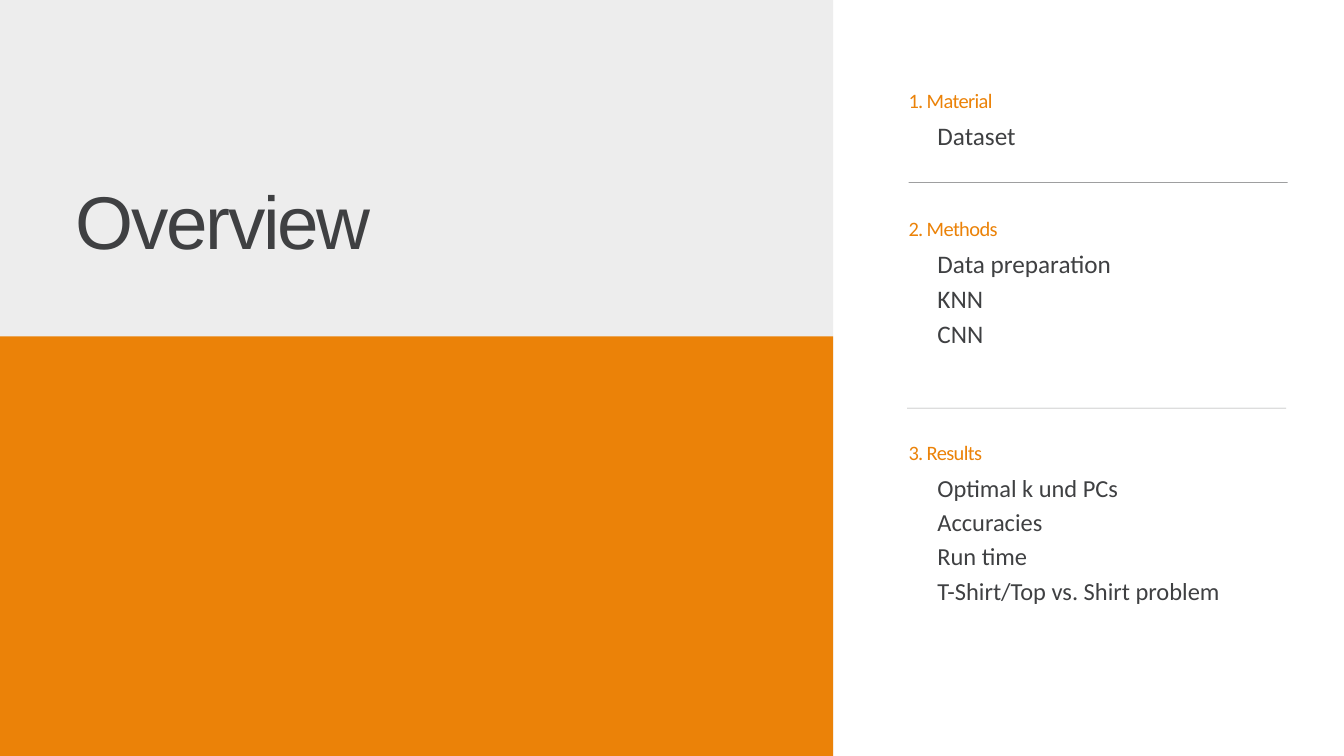
from dataclasses import dataclass

from lxml.etree import SubElement
from pptx import Presentation
from pptx.dml.color import RGBColor
from pptx.enum.shapes import MSO_SHAPE
from pptx.oxml.ns import qn
from pptx.util import Inches, Pt

W, H = 20, 11.25
COLORS = {"panel": "EDEDED", "accent": "EB8208", "ink": "3F4042"}

# Shares of the slide's size
PANEL_W = 0.62
ACCENT_TOP = 0.445
LIST_X, LIST_W = 0.676, 0.282
INDENT = 0.0215
HEADING_H = 0.0385


@dataclass
class Style:
    font: str
    size: float
    leading: float
    color: str
    spacing: float = 0


@dataclass
class Section:
    top: float
    heading: str
    items: list[str]
    style: Style


TITLE = Style("Arial", 80, 104, "ink", -2.4)
HEADING = Style("Calibri", 21.9, 28.5, "accent", -0.7)
ITEM = Style("Calibri", 27, 37.8, "ink")
SMALL_ITEM = Style("Calibri", 26.2, 36.8, "ink")

SECTIONS = [
    Section(0.114, "1. Material", ["Dataset"], ITEM),
    Section(0.283, "2. Methods", ["Data preparation", "KNN", "CNN"], ITEM),
    Section(0.58, "3. Results", ["Optimal k und PCs", "Accuracies", "Run time",
                                 "T-Shirt/Top vs. Shirt problem"], SMALL_ITEM),
]
RULES = [(LIST_X, 0.241), (0.675, 0.5395)]


def place(x: float, y: float, w: float, h: float) -> list[int]:
    """Turn shares of the slide into lengths."""
    return [Inches(x * W), Inches(y * H), Inches(w * W), Inches(h * H)]


def add_block(s, x: float, y: float, w: float, h: float, color: str, alpha: int = 100) -> None:
    sp = s.shapes.add_shape(MSO_SHAPE.RECTANGLE, *place(x, y, w, h))
    sp.shadow.inherit = False
    sp.line.fill.background()
    sp.fill.solid()
    sp.fill.fore_color.rgb = RGBColor.from_string(COLORS[color])
    if alpha < 100:
        clr = sp.fill._xPr.find(qn("a:solidFill"))[0]
        SubElement(clr, qn("a:alpha")).set("val", str(alpha * 1000))


def add_text(s, x: float, y: float, w: float, lines: list[str], style: Style) -> None:
    height = len(lines) * style.leading / 72 / H
    tf = s.shapes.add_textbox(*place(x, y, w, height)).text_frame
    frame = {"word_wrap": True, "margin_left": 0, "margin_right": 0,
             "margin_top": 0, "margin_bottom": 0}
    for name, value in frame.items():
        setattr(tf, name, value)
    for i, line in enumerate(lines):
        p = tf.add_paragraph() if i else tf.paragraphs[0]
        p.line_spacing = Pt(style.leading)
        r = p.add_run()
        r.text = line
        for name, value in {"name": style.font, "size": Pt(style.size)}.items():
            setattr(r.font, name, value)
        r.font.color.rgb = RGBColor.from_string(COLORS[style.color])
        if style.spacing:
            r._r.get_or_add_rPr().set("spc", str(round(style.spacing * 100)))


def main() -> None:
    prs = Presentation()
    prs.slide_width, prs.slide_height = Inches(W), Inches(H)
    s = prs.slides.add_slide(prs.slide_layouts[6])

    # Left panel with title
    add_block(s, 0, 0, PANEL_W, 1, "panel")
    add_block(s, 0, ACCENT_TOP, PANEL_W, 1 - ACCENT_TOP, "accent")
    add_text(s, 0.056, 0.222, 0.506, ["Overview"], TITLE)

    # Dividers between sections
    for x, y in RULES:
        add_block(s, x, y, LIST_W, 0.01 / H, "ink", 50)

    # Numbered sections
    for sec in SECTIONS:
        add_text(s, LIST_X, sec.top, LIST_W, [sec.heading], HEADING)
        add_text(s, LIST_X + INDENT, sec.top + HEADING_H, LIST_W - INDENT,
                 sec.items, sec.style)

    prs.save("out.pptx")


if __name__ == "__main__":
    main()
